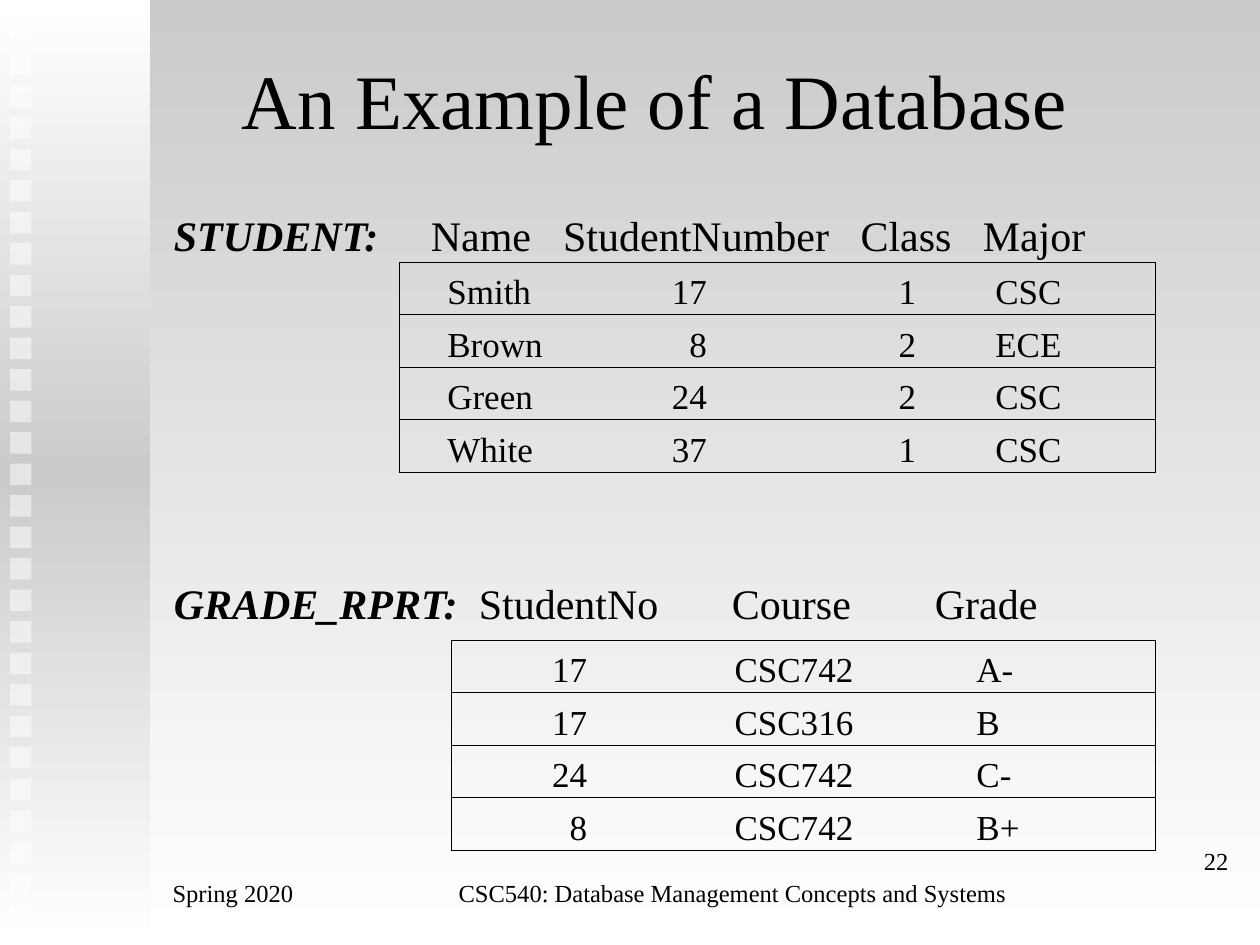
from copy import deepcopy
from dataclasses import dataclass

from lxml.etree import SubElement as Sub
from pptx import Presentation
from pptx.dml.color import RGBColor as RGB
from pptx.enum.shapes import MSO_SHAPE as Shape
from pptx.enum.text import MSO_ANCHOR as Anchor, MSO_AUTO_SIZE as Fit, PP_ALIGN as Align
from pptx.oxml.ns import qn
from pptx.util import Inches, Pt


@dataclass(frozen=True)
class Theme:
    font: str = "Times New Roman"
    ink: str = "000000"
    pale: str = "FFFFFF"
    gray: str = "CBCBCB"
    title: int = 44
    head: int = 24
    cell: int = 20
    foot: int = 14
    rule: float = 0.75


@dataclass(frozen=True)
class Col:
    width: float
    inset: float = 0
    right: bool = False


@dataclass(frozen=True)
class Grid:
    name: str
    heads: tuple[str, ...]
    tabs: tuple[float, ...]
    head_top: float
    left: float
    top: float
    cols: tuple[Col, ...]
    rows: tuple[tuple[str, ...], ...]


THEME = Theme()
PAD = 0.05
DROP = 0.09
GRID_TALL = 1.67

GRIDS = (
    Grid("STUDENT:", ("Name", "StudentNumber", "Class", "Major"),
         (2.04, 3.09, 5.45, 6.42), 1.58, 3.17, 2.08,
         (Col(1.33, 0.38), Col(1.11, right=True), Col(1.66, right=True), Col(1.9, 0.63)),
         (("Smith", "17", "1", "CSC"),
          ("Brown", "8", "2", "ECE"),
          ("Green", "24", "2", "CSC"),
          ("White", "37", "1", "CSC"))),
    Grid("GRADE_RPRT:", ("StudentNo", "Course", "Grade"),
         (2.42, 4.43, 6.04), 4.5, 3.58, 5.08,
         (Col(1.08, right=True), Col(2.34, 1.17), Col(2.17, 0.75)),
         (("17", "CSC742", "A-"),
          ("17", "CSC316", "B"),
          ("24", "CSC742", "C-"),
          ("8", "CSC742", "B+"))),
)


def blend(fill, node, hues: tuple[str, ...]) -> None:
    """Fill from top to bottom with evenly spaced colours."""
    fill.gradient()
    fill.gradient_angle = 270
    stops = node.find(".//" + qn("a:gsLst"))
    while len(stops) < len(hues):
        stops.append(deepcopy(stops[0]))
    for i, (stop, hue) in enumerate(zip(fill.gradient_stops, hues)):
        stop.color.rgb = RGB.from_string(hue)
        stop.position = i / (len(hues) - 1)


def add_rect(slide, x: float, y: float, w: float, h: float):
    rect = slide.shapes.add_shape(Shape.RECTANGLE, *map(Inches, (x, y, w, h)))
    rect.shadow.inherit = False
    rect.line.fill.background()
    return rect


def add_band(slide) -> None:
    band = add_rect(slide, 0, 0, 1.19, 7.5)
    blend(band.fill, band._element, (THEME.pale, THEME.gray, THEME.pale))
    for i in range(29):
        dot = add_rect(slide, 0.08, 0.18 + 0.25 * i, 0.17, 0.17)
        dot.fill.solid()
        dot.fill.fore_color.rgb = RGB.from_string(THEME.pale)
        hue = dot._element.find(".//" + qn("a:srgbClr"))
        Sub(hue, qn("a:alpha"), val="50000")


def add_run(para, text: str, size: int, strong: bool = False) -> None:
    run = para.add_run()
    run.text = text
    font = run.font
    font.name, font.size = THEME.font, Pt(size)
    font.bold = font.italic = strong
    font.color.rgb = RGB.from_string(THEME.ink)


def set_tabs(para, stops: tuple[float, ...]) -> None:
    tabs = Sub(para._p.get_or_add_pPr(), qn("a:tabLst"))
    for stop in stops:
        Sub(tabs, qn("a:tab"), pos=str(Inches(stop)), algn="l")


def set_frame(frame, anchor, left: float = 0, top: float = 0, rest: float = 0):
    frame.word_wrap, frame.auto_size = True, Fit.NONE
    frame.vertical_anchor = anchor
    frame.margin_left, frame.margin_top = Inches(left), Inches(top)
    frame.margin_right = frame.margin_bottom = Inches(rest)
    return frame.paragraphs[0]


def add_box(slide, x: float, y: float, w: float, h: float):
    return slide.shapes.add_textbox(*map(Inches, (x, y, w, h))).text_frame


def set_edges(cell, first: bool, last: bool) -> None:
    """Rule a cell above and below, and at the outer sides of its row."""
    cell.fill.background()
    props = cell._tc.get_or_add_tcPr()
    sides = (("L", first), ("R", last), ("T", True), ("B", True))
    for i, (side, shown) in enumerate(sides):
        line = Sub(props, qn("a:ln" + side), w=str(Pt(THEME.rule)))
        if shown:
            fill = Sub(line, qn("a:solidFill"))
            Sub(fill, qn("a:srgbClr"), val=THEME.ink)
        else:
            Sub(line, qn("a:noFill"))
        props.insert(i, line)


def add_grid(slide, grid: Grid) -> None:
    para = set_frame(add_box(slide, 1.33, grid.head_top, 7.67, 0.46),
                     Anchor.TOP, PAD, 0.08, PAD)
    set_tabs(para, grid.tabs)
    add_run(para, grid.name, THEME.head, True)
    for head in grid.heads:
        add_run(para, "\t" + head, THEME.head)

    wide = sum(col.width for col in grid.cols)
    size = map(Inches, (grid.left, grid.top, wide, GRID_TALL))
    table = slide.shapes.add_table(len(grid.rows), len(grid.cols), *size).table
    table.first_row = table.horz_banding = False
    for j, col in enumerate(grid.cols):
        table.columns[j].width = Inches(col.width)
        for i, row in enumerate(grid.rows):
            cell = table.cell(i, j)
            cell.margin_left, cell.margin_top = Inches(col.inset), Inches(DROP)
            cell.margin_right = cell.margin_bottom = 0
            set_edges(cell, j == 0, j == len(grid.cols) - 1)
            para = cell.text_frame.paragraphs[0]
            para.alignment = Align.RIGHT if col.right else Align.LEFT
            add_run(para, row[j], THEME.cell)


def add_title(slide, text: str) -> None:
    title = slide.shapes.title
    title.left, title.top, title.width, title.height = map(Inches, (1.92, 0.16, 7.25, 1.25))
    para = set_frame(title.text_frame, Anchor.MIDDLE)
    para.alignment = Align.LEFT
    add_run(para, text, THEME.title)


def add_foot(slide) -> None:
    para = set_frame(add_box(slide, 9.08, 6.68, 0.67, 0.31), Anchor.MIDDLE)
    para.alignment = Align.RIGHT
    add_run(para, "22", THEME.foot)
    para = set_frame(add_box(slide, 0.5, 6.93, 8.67, 0.31), Anchor.MIDDLE, 0.87, PAD, PAD)
    set_tabs(para, (2.27,))
    add_run(para, "Spring 2020", THEME.foot)
    add_run(para, "\tCSC540: Database Management Concepts and Systems", THEME.foot)


def main() -> None:
    deck = Presentation()
    deck.slide_width, deck.slide_height = Inches(10), Inches(7.5)
    slide = deck.slides.add_slide(deck.slide_layouts[5])
    blend(slide.background.fill, slide._element, (THEME.gray, THEME.pale))
    add_band(slide)
    add_title(slide, "An Example of a Database")
    for grid in GRIDS:
        add_grid(slide, grid)
    add_foot(slide)
    deck.save("out.pptx")


if __name__ == "__main__":
    main()
